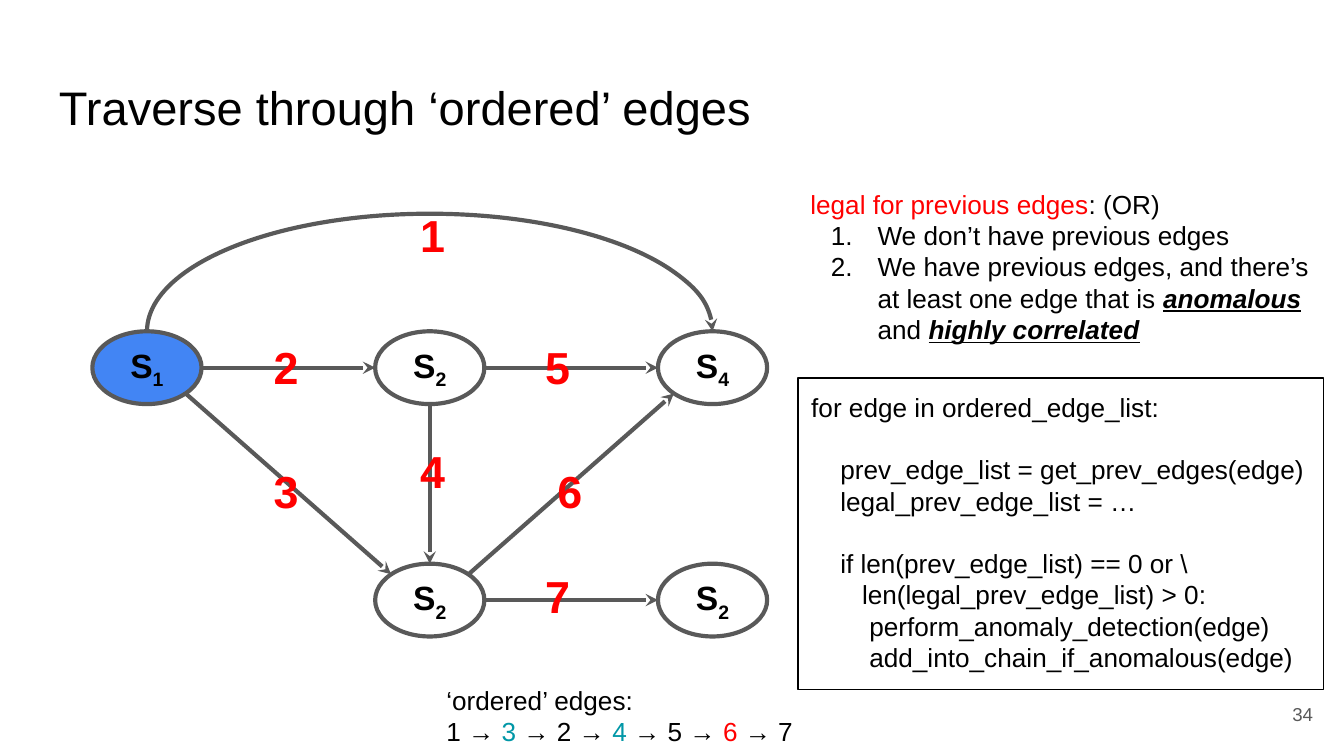
from lxml.etree import SubElement
from pptx import Presentation
from pptx.dml.color import RGBColor
from pptx.enum.shapes import MSO_CONNECTOR as Conn, MSO_SHAPE as Kind
from pptx.enum.text import MSO_ANCHOR as Anchor, PP_ALIGN as Align
from pptx.oxml.ns import qn
from pptx.util import Pt

HUES = {"black": "000000", "grey": "595959", "blue": "4285F4",
        "red": "FF0000", "teal": "0097A7"}
NODES = {"start": (0, 0, "1"), "mid": (1, 0, "2"), "end": (2, 0, "4"),
         "low": (1, 1, "2"), "last": (2, 1, "2")}
EDGES = [("start", (1, 0), "mid", (-1, 0)), ("mid", (1, 0), "end", (-1, 0)),
         ("start", (0.71, 0.71), "low", (-0.71, -0.71)),
         ("mid", (0, 1), "low", (0, -1)),
         ("low", (0.71, -0.71), "end", (-0.71, 0.71)),
         ("low", (1, 0), "last", (-1, 0))]
MARKS = {"1": (168.5, 0), "2": (90, 71), "3": (90, 137), "4": (168.5, 126.5),
         "5": (235.5, 71), "6": (242, 137), "7": (235.5, 193.5)}
CODE = [(0, 0, "for edge in ordered_edge_list:"),
        (4, 1, "prev_edge_list = get_prev_edges(edge)"),
        (4, 0, "legal_prev_edge_list = …"),
        (4, 1, "if len(prev_edge_list) == 0 or \\"),
        (7, 0, "len(legal_prev_edge_list) > 0:"),
        (8, 0, "perform_anomaly_detection(edge)"),
        (8, 0, "add_into_chain_if_anomalous(edge)")]
RULES = [[("legal for previous edges", "red"), (": (OR)", "black")],
         [("We don’t have previous edges", "black")],
         [("We have previous edges, and there’s at least one edge that is ", "black"),
          ("anomalous", "black", True), (" and ", "black"),
          ("highly correlated", "black", True)]]
ORDER = [[("‘ordered’ edges:", "black")],
         [("1 → ", "black"), ("3 ", "teal"), ("→ 2 → ", "black"), ("4", "teal"),
          (" → 5 → ", "black"), ("6", "red"), (" → 7", "black")]]


def rgb(name):
    """Return the colour of a palette name."""
    return RGBColor.from_string(HUES[name])


def style(run, size, hue="black", bold=False):
    """Set font, size, colour and weight of a run."""
    font = run.font
    font.name, font.size, font.bold = "Arial", Pt(size), bold
    font.color.rgb = rgb(hue)


def stroke(shape, hue, width, head=False):
    """Outline a shape, with an arrowhead if asked."""
    shape.line.color.rgb = rgb(hue)
    shape.line.width = Pt(width)
    if head:
        line = shape.element.spPr.find(qn("a:ln"))
        SubElement(line, qn("a:tailEnd"), type="stealth")


def pad(shape, anchor=Anchor.TOP):
    """Give a text frame its insets, wrap and anchor."""
    frame = shape.text_frame
    frame.word_wrap, frame.vertical_anchor = True, anchor
    frame.margin_left = frame.margin_right = Pt(7.2)
    frame.margin_top = frame.margin_bottom = Pt(7.2)
    return frame


def form(slide, kind, box, fill=None):
    """Add a flat preset shape in the box."""
    shape = slide.shapes.add_shape(kind, *map(Pt, box))
    shape.shadow.inherit = False
    if fill:
        shape.fill.solid()
        shape.fill.fore_color.rgb = rgb(fill)
    else:
        shape.fill.background()
    return shape


def label(slide, box, text, size, hue="black", bold=False,
          align=Align.LEFT, anchor=Anchor.TOP):
    """Add a one-line text in the box."""
    frame = pad(slide.shapes.add_textbox(*map(Pt, box)), anchor)
    frame.text = text
    para = frame.paragraphs[0]
    para.alignment = align
    style(para.runs[0], size, hue, bold)


def prose(slide, box, rows):
    """Add paragraphs of coloured runs and return them."""
    frame = pad(slide.shapes.add_textbox(*map(Pt, box)))
    for num, row in enumerate(rows):
        para = frame.add_paragraph() if num else frame.paragraphs[0]
        for text, hue, *strong in row:
            run = para.add_run()
            run.text = text
            style(run, 14, hue, bool(strong))
            run.font.italic = run.font.underline = bool(strong)
    return frame.paragraphs


def rules(slide, box):
    """Place the numbered conditions in the box."""
    for para in prose(slide, box, RULES)[1:]:
        props = para._p.get_or_add_pPr()
        props.set("marL", str(Pt(36)))
        props.set("indent", str(Pt(-25)))
        tint = SubElement(props, qn("a:buClr"))
        SubElement(tint, qn("a:srgbClr"), val=HUES["black"])
        SubElement(props, qn("a:buAutoNum"), type="arabicPeriod")


def code(slide, box):
    """Place the framed code in the box."""
    shape = form(slide, Kind.RECTANGLE, box)
    stroke(shape, "black", 0.75)
    frame = pad(shape)
    frame.text = "\n".join(text for _, _, text in CODE)
    for para, (depth, gap, _) in zip(frame.paragraphs, CODE):
        para.alignment = Align.LEFT
        para.space_before = Pt(16.5 * gap)
        para._p.get_or_add_pPr().set("marL", str(Pt(3.89 * depth)))
        style(para.runs[0], 14)


def node(slide, box, index, fill):
    """Place an oval state with its subscript in the box."""
    shape = form(slide, Kind.OVAL, box, fill)
    stroke(shape, "grey", 2.25)
    para = pad(shape, Anchor.MIDDLE).paragraphs[0]
    para.alignment = Align.CENTER
    for text in ("S", index):
        run = para.add_run()
        run.text = text
        style(run, 18, bold=True)
    run._r.get_or_add_rPr().set("baseline", "-25000")


def graph(slide, box):
    """Place the states, edges and edge numbers in the box."""
    left, top, width, height = box
    wide, high, arch = 58.5, 39, 73.5

    def spot(name, way=(0, 0)):
        """Return a point on an oval in the given direction."""
        col, row, _ = NODES[name]
        return (left + col * (width - wide) / 2 + wide / 2 * (1 + way[0]),
                top + arch + row * (height - arch - high) + high / 2 * (1 + way[1]))

    for name, (_, _, index) in NODES.items():
        x, y = spot(name, (-1, -1))
        node(slide, (x, y, wide, high), index, "blue" if name == "start" else None)
    for source, out, target, into in EDGES:
        ends = spot(source, out) + spot(target, into)
        edge = slide.shapes.add_connector(Conn.STRAIGHT, *map(Pt, ends))
        stroke(edge, "grey", 2.25, True)
        SubElement(edge.element.spPr, qn("a:effectLst"))
    x, y = spot("start", (0, -1))
    rise = 63
    arc = form(slide, Kind.ARC, (x, y - rise, width - wide, 2 * rise))
    arc.adjustments[0], arc.adjustments[1] = 108, 0
    stroke(arc, "grey", 2.25, True)
    for text, (x, y) in MARKS.items():
        label(slide, (left + x, top + y, 24.5, 44), text, 24, "red", True)


def main():
    """Build and save the slide."""
    deck = Presentation()
    deck.slide_width, deck.slide_height = Pt(720), Pt(405)
    slide = deck.slides.add_slide(deck.slide_layouts[6])
    label(slide, (24.5, 35, 671, 45), "Traverse through ‘ordered’ edges", 25.2)
    label(slide, (667.5, 367, 43, 31), "34", 10, "grey",
          align=Align.RIGHT, anchor=Anchor.MIDDLE)
    graph(slide, (49.5, 104, 361.5, 237))
    prose(slide, (232, 359.5, 212.5, 48), ORDER)
    code(slide, (427.5, 202.5, 281.5, 167))
    rules(slide, (427, 93.5, 281.5, 99.5))
    deck.save("out.pptx")


if __name__ == "__main__":
    main()
